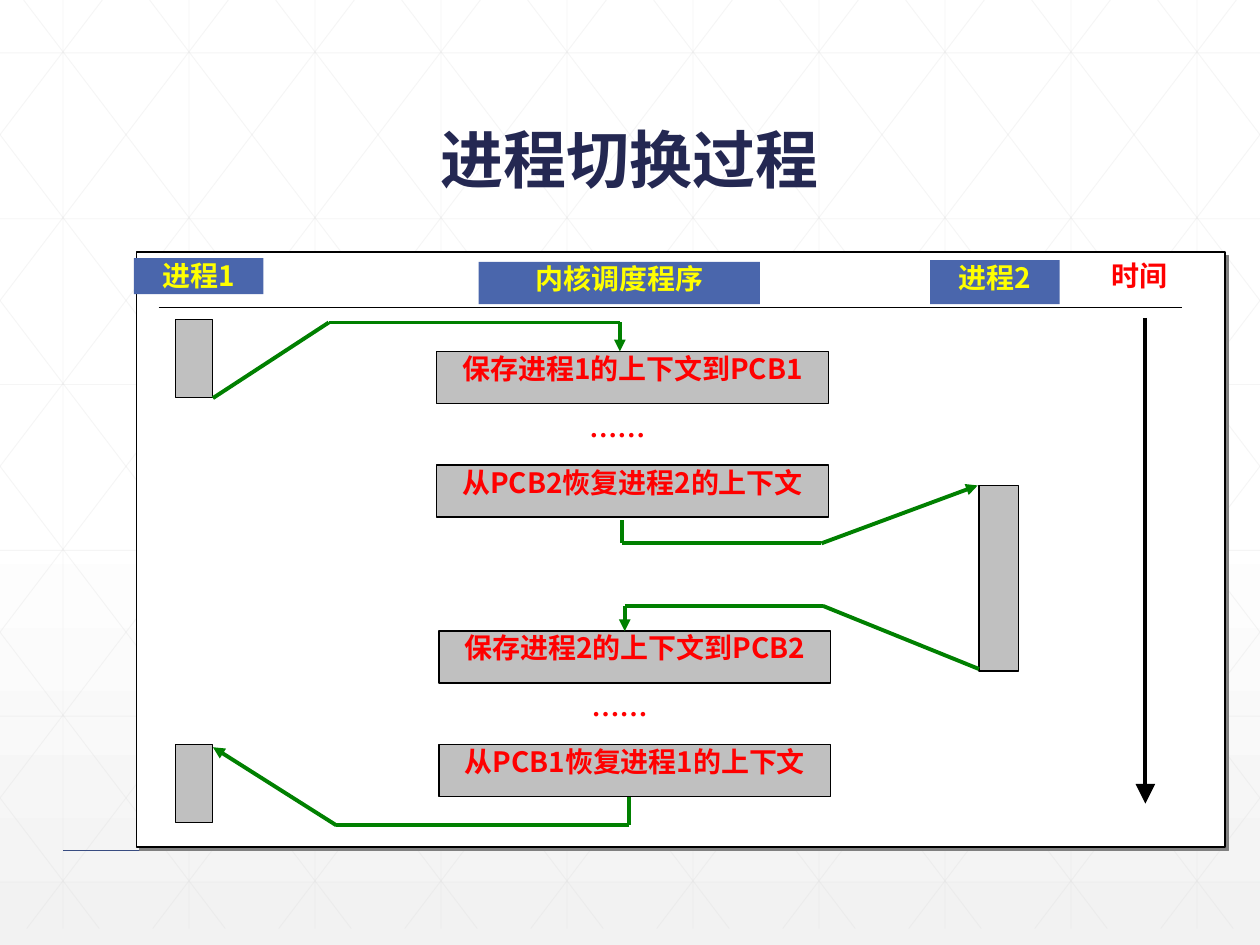
import lxml.etree
import pptx
import pptx.dml.color
import pptx.enum.shapes
import pptx.enum.text
import pptx.oxml.ns
import pptx.util

Pt = pptx.util.Pt
RGBColor = pptx.dml.color.RGBColor
qn = pptx.oxml.ns.qn
ANCHOR = pptx.enum.text.MSO_ANCHOR

WHITE = RGBColor(0xFF, 0xFF, 0xFF)
BLACK = RGBColor(0, 0, 0)
MIST = RGBColor(0xF2, 0xF2, 0xF2)
MESH = RGBColor(0xD9, 0xD9, 0xD9)
NAVY = RGBColor(0x24, 0x28, 0x52)
RULE_BLUE = RGBColor(0x38, 0x4C, 0x81)
LABEL_BLUE = RGBColor(0x4A, 0x66, 0xAC)
GREY = RGBColor(0xC0, 0xC0, 0xC0)
SHADOW_GREY = RGBColor(0x80, 0x80, 0x80)
YELLOW = RGBColor(0xFF, 0xFF, 0)
RED = RGBColor(0xFF, 0, 0)
GREEN = RGBColor(0, 0x80, 0)

SANS = "Noto Sans CJK SC"
SERIF = "Times New Roman"
TITLE_FONT = "Montserrat"

WIDTH, HEIGHT = 720, 540
MESH_BOTTOM = 530.64
MESH_STEP_X, MESH_STEP_Y = 72, 94.75


def add_child(parent, tag, **attributes):
    return lxml.etree.SubElement(parent, qn(tag), attributes)


def set_background(slide):
    fill = slide.background.fill
    fill.gradient()
    fill.gradient_angle = 270
    stops = slide.element.find(".//" + qn("a:gsLst"))
    for stop in list(stops):
        stops.remove(stop)
    for position, color, alpha in ((0, WHITE, 100), (53, WHITE, 100), (100, MIST, 65)):
        stop = add_child(stops, "a:gs", pos=str(position * 1000))
        value = add_child(stop, "a:srgbClr", val=str(color))
        add_child(value, "a:alpha", val=str(alpha * 1000))


def add_line(shapes, start, end, color, width, arrow=None, alpha=None):
    connector = shapes.add_connector(
        pptx.enum.shapes.MSO_CONNECTOR.STRAIGHT, *(Pt(value) for value in (*start, *end)))
    connector.line.color.rgb = color
    connector.line.width = Pt(width)
    properties = connector.element.spPr
    line = properties.find(qn("a:ln"))
    if alpha:
        add_child(line.find(".//" + qn("a:srgbClr")), "a:alpha", val=str(alpha * 1000))
    if arrow:
        add_child(line, "a:tailEnd", type="triangle", w=arrow, len=arrow)
    add_child(properties, "a:effectLst")
    return connector


def add_mesh(slide):
    shapes = slide.shapes.add_group_shape().shapes

    def mesh_line(start, end):
        add_line(shapes, start, end, MESH, 0.5, alpha=25)

    for column in range(10):
        x = 36 + column * MESH_STEP_X
        mesh_line((x, 0), (x, MESH_BOTTOM))
    for row in range(6):
        y = 30.24 + row * MESH_STEP_Y
        mesh_line((0, y), (WIDTH, y))

    # Diagonals, cut off at the slide edges, each with its mirror image
    slope = MESH_STEP_Y / MESH_STEP_X
    for index in range(-5, 10):
        origin = 13.5 + index * MESH_STEP_X
        left = max(origin, 0)
        right = min(origin + MESH_BOTTOM / slope, WIDTH)
        top, bottom = (left - origin) * slope, (right - origin) * slope
        mesh_line((left, top), (right, bottom))
        mesh_line((WIDTH - left, top), (WIDTH - right, bottom))


def add_path(slide, points):
    shapes = slide.shapes.add_group_shape().shapes
    last = len(points) - 2
    for index, (start, end) in enumerate(zip(points, points[1:])):
        add_line(shapes, start, end, GREEN, 2.25, arrow="med" if index == last else None)


def add_rectangle(slide, bounds, fill, outlined=True):
    shape = slide.shapes.add_shape(
        pptx.enum.shapes.MSO_SHAPE.RECTANGLE, *(Pt(value) for value in bounds))
    shape.shadow.inherit = False
    shape.fill.solid()
    shape.fill.fore_color.rgb = fill
    if outlined:
        shape.line.color.rgb = BLACK
        shape.line.width = Pt(0.75)
    else:
        shape.line.fill.background()
    return shape


def add_frame(slide, bounds):
    frame = add_rectangle(slide, bounds, WHITE)
    effects = frame.element.spPr.find(qn("a:effectLst"))
    shadow = add_child(effects, "a:outerShdw", blurRad="0", dist=str(Pt(2.8)),
                       dir=str(45 * 60000), algn="ctr", rotWithShape="0")
    add_child(shadow, "a:srgbClr", val=str(SHADOW_GREY))


def set_text(shape, text, color, font=SANS, size=16, inset=7.2, anchor=ANCHOR.TOP):
    frame = shape.text_frame
    frame.word_wrap = True
    frame.vertical_anchor = anchor
    frame.margin_left = frame.margin_right = Pt(inset)
    frame.margin_top = frame.margin_bottom = 0
    paragraph = frame.paragraphs[0]
    paragraph.text = text
    paragraph.alignment = pptx.enum.text.PP_ALIGN.CENTER
    paragraph.font.name = font
    paragraph.font.size = Pt(size)
    paragraph.font.bold = True
    paragraph.font.color.rgb = color
    # East Asian characters take their font from a separate element
    latin = paragraph.font._element.find(qn("a:latin"))
    latin.addnext(latin.makeelement(qn("a:ea"), {"typeface": font}))
    return paragraph


def add_text(slide, bounds, text, color, **style):
    box = slide.shapes.add_textbox(*(Pt(value) for value in bounds))
    return set_text(box, text, color, **style)


def add_label(slide, bounds, text):
    set_text(add_rectangle(slide, bounds, LABEL_BLUE, outlined=False), text, YELLOW)


def add_step(slide, left, top, text):
    set_text(add_rectangle(slide, (left, top, 224, 29.7), GREY), text, RED, inset=0)


def main():
    presentation = pptx.Presentation()
    presentation.slide_width, presentation.slide_height = Pt(WIDTH), Pt(HEIGHT)
    slide = presentation.slides.add_slide(presentation.slide_layouts[6])

    # Backdrop
    set_background(slide)
    add_mesh(slide)
    add_line(slide.shapes, (36, 486), (684, 486), RULE_BLUE, 1)

    # Title
    title = add_text(slide, (54, 48.2, 612, 90), "进程切换过程", NAVY,
                     font=TITLE_FONT, size=36, anchor=ANCHOR.MIDDLE)
    title.line_spacing = 0.9

    # Diagram frame and column headings
    add_frame(slide, (78, 144, 622, 340))
    add_label(slide, (76.5, 147.5, 74, 20.6), "进程1")
    add_label(slide, (531.5, 148.6, 74, 25.2), "进程2")
    add_label(slide, (273.5, 149.7, 160.8, 24.2), "内核调度程序")
    add_text(slide, (614.2, 147.6, 74, 26.6), "时间", RED)
    add_line(slide.shapes, (90.7, 175.9), (675.4, 175.9), BLACK, 0.75)

    # Running periods of the two processes
    for bounds in ((100.2, 182.6, 21.4, 44.6), (100.2, 425.4, 21.4, 44.6),
                   (559.4, 277.4, 22.6, 106)):
        add_rectangle(slide, bounds, GREY)

    # Kernel steps: save one context, then restore the other
    for left, top, old, new in ((249.5, 200.8, 1, 2), (250.8, 360.6, 2, 1)):
        add_step(slide, left, top, f"保存进程{old}的上下文到PCB{old}")
        add_text(slide, (left + 56.5, top + 33, 93.6, 29.5), "……", RED, font=SERIF)
        add_step(slide, left, top + 65, f"从PCB{new}恢复进程{new}的上下文")

    # Control flow
    for points in (
        ((121.7, 227.5), (187.9, 184.3), (354.2, 184.3), (354.2, 200.8)),
        ((355.7, 297.4), (355.7, 310.5), (469.4, 310.5), (558.7, 277.4)),
        ((559.4, 382.3), (470.2, 346.2), (357, 346.2), (357, 360.6)),
        ((359.3, 455.6), (359.3, 471.6), (192.2, 471.6), (121.7, 427)),
    ):
        add_path(slide, points)

    # Time axis
    add_line(slide.shapes, (654.5, 181.6), (654.5, 459.2), BLACK, 2.25, arrow="lg")

    presentation.save("out.pptx")


if __name__ == "__main__":
    main()
